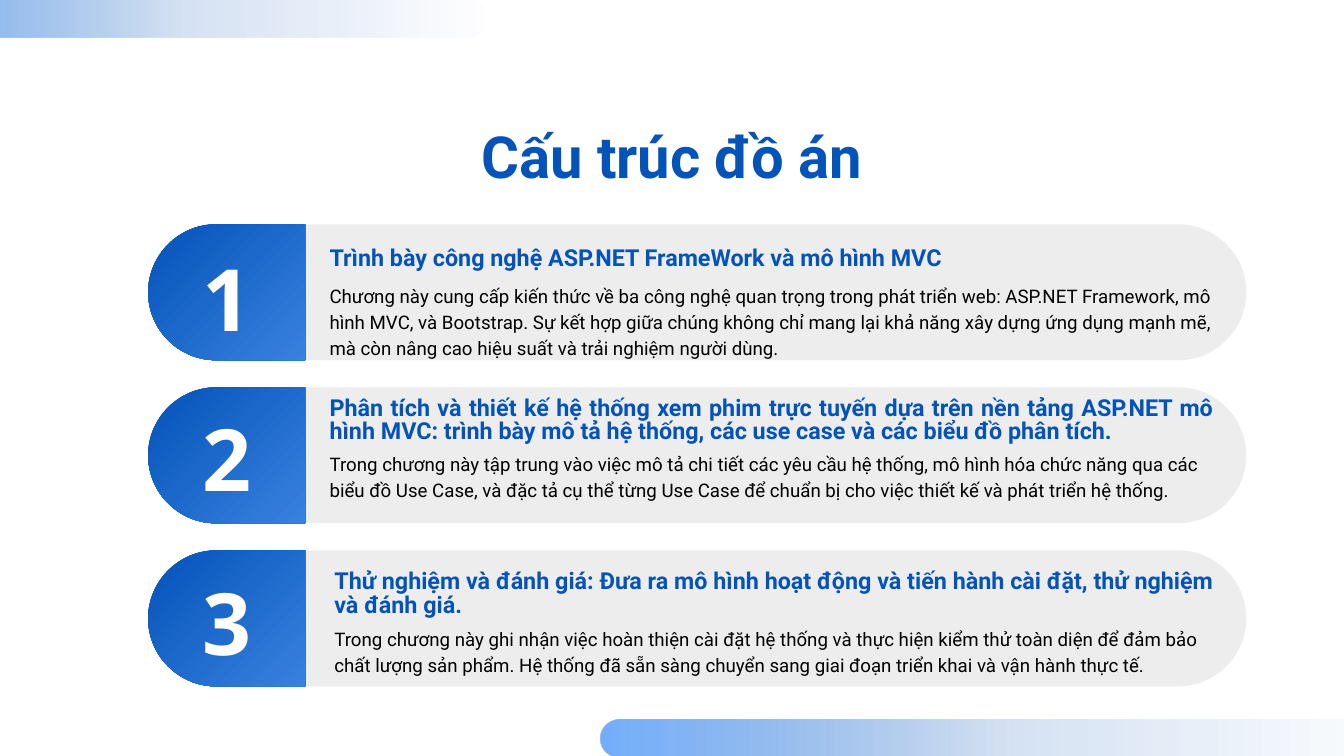
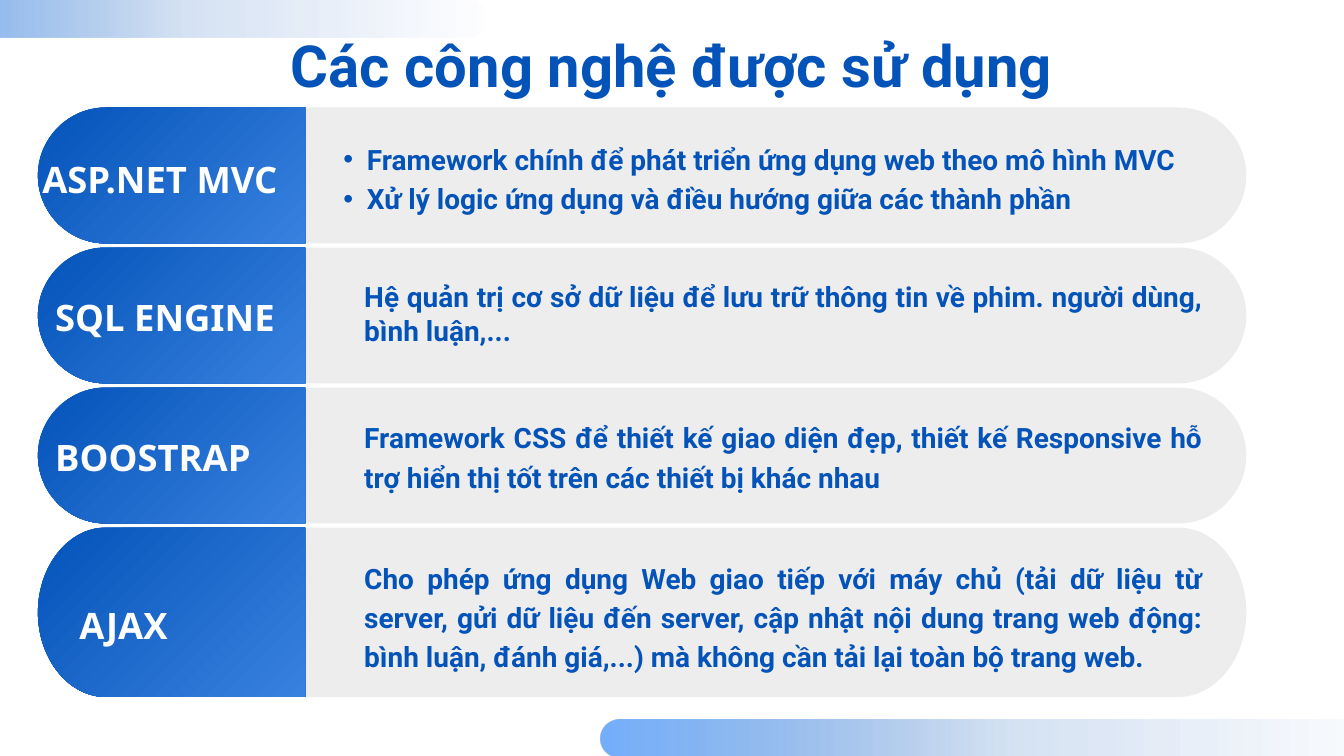
import dataclasses
import typing

import lxml.etree
import pptx
import pptx.dml.color
import pptx.enum.text
import pptx.oxml
import pptx.oxml.ns
import pptx.util

Align = pptx.enum.text.PP_ALIGN
qualify = pptx.oxml.ns.qn
SLIDE_WIDTH, SLIDE_HEIGHT = 20, 11.25
GRID = 100  # columns across and rows down
ARC_HANDLE = 0.55  # share of the way to the corner that rounds a quarter arc


def column(count: float) -> int:
    return pptx.util.Inches(SLIDE_WIDTH * count / GRID)


def row(count: float) -> int:
    return pptx.util.Inches(SLIDE_HEIGHT * count / GRID)


class Stop(typing.NamedTuple):
    position: int
    color: str
    opacity: int = 100


@dataclasses.dataclass(frozen=True)
class TextStyle:
    font: str
    size: float
    color: str
    spacing: float
    bold: bool = True
    align: typing.Optional[Align] = None


@dataclasses.dataclass(frozen=True)
class Theme:
    background: str = "FFFFFF"
    band: str = "EDEDED"
    badge: tuple = (Stop(0, "0453B9"), Stop(100, "3881DF"))
    strip: tuple = (Stop(0, "398DFA", 70), Stop(50, "0151B8", 17), Stop(100, "0151B8", 0))
    title: TextStyle = TextStyle("Roboto", 62.1, "0453B9", 71.4, align=Align.CENTER)
    heading: TextStyle = TextStyle("Roboto", 25, "0453B9", 25, align=Align.JUSTIFY)
    loose_heading: TextStyle = TextStyle("Roboto", 25, "0453B9", 35, align=Align.JUSTIFY)
    body: TextStyle = TextStyle("Roboto", 20, "000000", 28, bold=False)
    number: TextStyle = TextStyle("Noto Sans", 92, "FFFFFF", 128.8, align=Align.CENTER)
    label: TextStyle = TextStyle("Noto Sans", 39, "FFFFFF", 54.6)
    detail: TextStyle = TextStyle("Roboto", 30, "0453B9", 42, align=Align.JUSTIFY)
    tight_detail: TextStyle = TextStyle("Roboto", 30, "0453B9", 36, align=Align.JUSTIFY)


THEME = Theme()


class Box(typing.NamedTuple):
    """An area in grid columns (left, width) and rows (top, height)."""
    left: float
    top: float
    width: float
    height: float


@dataclasses.dataclass(frozen=True)
class Chapter:
    heading: str
    body: str
    left: float
    heading_offset: float
    body_offset: float
    number_offset: float
    heading_style: TextStyle = THEME.heading


@dataclasses.dataclass(frozen=True)
class Technology:
    name: str
    details: tuple
    name_left: float
    name_offset: float
    detail_offset: float
    detail_height: float
    height: float = 17.97
    detail_left: float = 27.1
    style: TextStyle = THEME.detail
    bulleted: bool = False


BAND_LEFT, BAND_RIGHT, BADGE_RIGHT = 11.02, 92.73, 22.7
BAND_HEIGHT, END_RADIUS, STRIP_RADIUS = 17.97, 5.05, 1.42
TEXT_RIGHT = 89.5
STRIPS = (Box(44.7, 95.15, 59.15, 5.05), Box(-10.25, -0.05, 46.5, 5.05))

CHAPTERS = (
    Chapter(
        "Trình bày công nghệ ASP.NET FrameWork và mô hình MVC",
        "Chương này cung cấp kiến thức về ba công nghệ quan trọng trong phát triển web: "
        "ASP.NET Framework, mô hình MVC, và Bootstrap. Sự kết hợp giữa chúng không chỉ mang lại "
        "khả năng xây dựng ứng dụng mạnh mẽ, mà còn nâng cao hiệu suất và trải nghiệm người dùng.",
        24.52, 1.85, 7.47, 0.53, THEME.loose_heading),
    Chapter(
        "Phân tích và thiết kế hệ thống xem phim trực tuyến dựa trên nền tảng ASP.NET mô hình MVC: "
        "trình bày mô tả hệ thống, các use case và các biểu đồ phân tích.",
        "Trong chương này tập trung vào việc mô tả chi tiết các yêu cầu hệ thống, mô hình hóa "
        "chức năng qua các biểu đồ Use Case, và đặc tả cụ thể từng Use Case để chuẩn bị cho việc "
        "thiết kế và phát triển hệ thống.",
        24.52, 1.33, 8.18, 0.18),
    Chapter(
        "Thử nghiệm và đánh giá: Đưa ra mô hình hoạt động và tiến hành cài đặt, thử nghiệm "
        "và đánh giá.",
        "Trong chương này ghi nhận việc hoàn thiện cài đặt hệ thống và thực hiện kiểm thử toàn diện "
        "để đảm bảo chất lượng sản phẩm. Hệ thống đã sẵn sàng chuyển sang giai đoạn triển khai và "
        "vận hành thực tế.",
        24.88, 2.76, 9.69, 0.27),
)

TECHNOLOGIES = (
    Technology(
        "ASP.NET MVC",
        ("Framework chính để phát triển ứng dụng web theo mô hình MVC",
         "Xử lý logic ứng dụng và điều hướng giữa các thành phần"),
        3.15, 5.6, 3.87, 9.87, detail_left=23.75, bulleted=True),
    Technology(
        "SQL ENGINE",
        ("Hệ quản trị cơ sở dữ liệu để lưu trữ thông tin về phim. người dùng, bình luận,...",),
        4.1, 5.36, 4.27, 8.71, style=THEME.tight_detail),
    Technology(
        "BOOSTRAP",
        ("Framework CSS để thiết kế giao diện đẹp, thiết kế Responsive hỗ trợ hiển thị tốt "
         "trên các thiết bị khác nhau",),
        4.1, 5.36, 3.68, 9.96),
    Technology(
        "AJAX",
        ("Cho phép ứng dụng Web giao tiếp với máy chủ (tải dữ liệu từ server, gửi dữ liệu đến "
         "server, cập nhật nội dung trang web động: bình luận, đánh giá,...) mà không cần tải lại "
         "toàn bộ trang web.",),
        5.9, 9.07, 3.73, 15.11, height=22.4),
)


def apply_formats(target: typing.Any, formats: dict) -> None:
    for name, value in formats.items():
        setattr(target, name, value)


def rgb(color: str) -> pptx.dml.color.RGBColor:
    return pptx.dml.color.RGBColor.from_string(color)


def fill_gradient(shape: typing.Any, stops: tuple, angle: int) -> None:
    """Fill with a linear gradient; angle is in degrees clockwise."""
    shape.fill.gradient()
    gradient = shape._element.spPr.find(qualify("a:gradFill"))
    for child in list(gradient):
        gradient.remove(child)
    stop_list = lxml.etree.SubElement(gradient, qualify("a:gsLst"))
    for stop in stops:
        entry = lxml.etree.SubElement(stop_list, qualify("a:gs"), pos=str(stop.position * 1000))
        color = lxml.etree.SubElement(entry, qualify("a:srgbClr"), val=stop.color)
        if stop.opacity < 100:
            lxml.etree.SubElement(color, qualify("a:alpha"), val=str(stop.opacity * 1000))
    lxml.etree.SubElement(gradient, qualify("a:lin"), ang=str(angle * 60000), scaled="0")


def round_slanted_edges(shape: typing.Any) -> None:
    """Turn every slanted edge of a freeform into a quarter arc bulging outwards."""
    outline = next(shape._element.iter(qualify("a:path")))
    sides = (0, int(outline.get("w")))
    start = None
    for segment in list(outline):
        if not len(segment):
            continue
        end = int(segment[0].get("x")), int(segment[0].get("y"))
        if start and start[0] != end[0] and start[1] != end[1]:
            corner = (end[0], start[1]) if end[0] in sides else (start[0], end[1])
            segment.tag = qualify("a:cubicBezTo")
            for index, anchor in enumerate((start, end)):
                x, y = (round(a + ARC_HANDLE * (c - a)) for a, c in zip(anchor, corner))
                handle = lxml.etree.Element(qualify("a:pt"), x=str(x), y=str(y))
                segment.insert(index, handle)
        start = end


def add_rounded(slide: typing.Any, box: Box, radius: float, round_right: bool = True) -> typing.Any:
    """Outline with a half-elliptical left end and a round or square right end."""
    right, bottom = box.left + box.width, box.top + box.height
    middle = box.top + box.height / 2
    corners = [(box.left + radius, bottom), (box.left, middle), (box.left + radius, box.top)]
    if round_right:
        corners += [(right - radius, box.top), (right, middle), (right - radius, bottom)]
    else:
        corners += [(right, box.top), (right, bottom)]
    points = [(column(x), row(y)) for x, y in corners]
    builder = slide.shapes.build_freeform(*points[0])
    builder.add_line_segments(points[1:], close=True)
    shape = builder.convert_to_shape()
    round_slanted_edges(shape)
    shape.shadow.inherit = False
    shape.line.fill.background()
    return shape


def add_bullet(paragraph: typing.Any) -> None:
    paragraph.level = 1
    properties = paragraph._p.get_or_add_pPr()
    properties.set("marL", str(pptx.util.Inches(0.71)))
    properties.set("indent", str(pptx.util.Inches(-0.35)))
    for tag, name, value in (("a:buFont", "typeface", "Arial"), ("a:buChar", "char", "•")):
        lxml.etree.SubElement(properties, qualify(tag)).set(name, value)


def add_text(slide: typing.Any, box: Box, lines: tuple, style: TextStyle,
             bulleted: bool = False) -> None:
    shape = slide.shapes.add_textbox(
        column(box.left), row(box.top), column(box.width), row(box.height))
    frame = shape.text_frame
    apply_formats(frame, {
        "margin_left": 0, "margin_top": 0, "margin_right": 0, "margin_bottom": 0,
        "word_wrap": True, "auto_size": pptx.enum.text.MSO_AUTO_SIZE.SHAPE_TO_FIT_TEXT})
    for index, line in enumerate(lines):
        paragraph = frame.add_paragraph() if index else frame.paragraphs[0]
        apply_formats(paragraph, {
            "alignment": style.align, "line_spacing": pptx.util.Pt(style.spacing)})
        if bulleted:
            add_bullet(paragraph)
        run = paragraph.add_run()
        run.text = line
        apply_formats(run.font, {
            "name": style.font, "size": pptx.util.Pt(style.size), "bold": style.bold})
        run.font.color.rgb = rgb(style.color)


def add_band(slide: typing.Any, top: float, height: float, badge_left: float) -> None:
    """Grey pill with a blue badge over its left end."""
    band = add_rounded(slide, Box(BAND_LEFT, top, BAND_RIGHT - BAND_LEFT, height), END_RADIUS)
    band.fill.solid()
    band.fill.fore_color.rgb = rgb(THEME.band)
    badge_box = Box(badge_left, top, BADGE_RIGHT - badge_left, height)
    fill_gradient(add_rounded(slide, badge_box, END_RADIUS, False), THEME.badge, 45)


def add_base_slide(presentation: typing.Any, title: str, title_top: float) -> typing.Any:
    slide = presentation.slides.add_slide(presentation.slide_layouts[6])
    slide.background.fill.solid()
    slide.background.fill.fore_color.rgb = rgb(THEME.background)
    for strip in STRIPS:
        fill_gradient(add_rounded(slide, strip, STRIP_RADIUS), THEME.strip, 0)
    add_text(slide, Box(13.02, title_top, 73.95, 8.98), (title,), THEME.title)
    return slide


def add_structure_slide(presentation: typing.Any) -> None:
    slide = add_base_slide(presentation, "Cấu trúc đồ án", 16.27)
    for index, chapter in enumerate(CHAPTERS):
        top = 29.67 + 21.57 * index
        width = 90.27 - chapter.left
        add_band(slide, top, BAND_HEIGHT, BAND_LEFT)
        add_text(slide, Box(chapter.left, top + chapter.body_offset, width, 10.22),
                 (chapter.body,), THEME.body)
        add_text(slide, Box(chapter.left, top + chapter.heading_offset, width, 6.58),
                 (chapter.heading,), chapter.heading_style)
        add_text(slide, Box(15.05, top + chapter.number_offset, 3.65, 15.2),
                 (str(index + 1),), THEME.number)


def add_technology_slide(presentation: typing.Any) -> None:
    slide = add_base_slide(presentation, "Các công nghệ được sử dụng", 4.36)
    for index, technology in enumerate(TECHNOLOGIES):
        top = 14.22 + 18.52 * index
        add_band(slide, top, technology.height, 2.82)
        left = technology.detail_left
        add_text(slide, Box(left, top + technology.detail_offset, TEXT_RIGHT - left,
                            technology.detail_height),
                 technology.details, technology.style, technology.bulleted)
        add_text(slide, Box(technology.name_left, top + technology.name_offset, 18.3, 6.48),
                 (technology.name,), THEME.label)


def main() -> None:
    presentation = pptx.Presentation()
    apply_formats(presentation, {"slide_width": column(GRID), "slide_height": row(GRID)})
    add_structure_slide(presentation)
    add_technology_slide(presentation)
    presentation.save("out.pptx")


if __name__ == "__main__":
    main()
